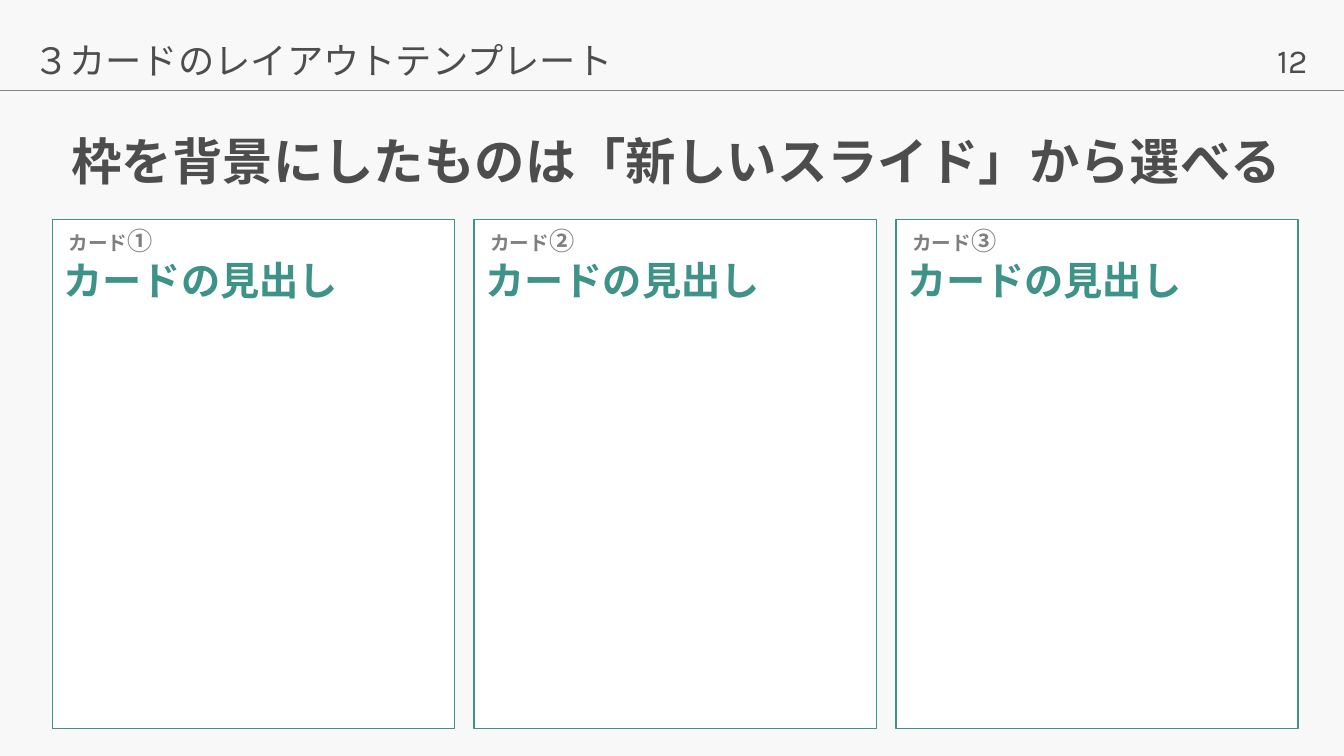
from lxml.etree import SubElement
from pptx import Presentation
from pptx.dml.color import RGBColor
from pptx.enum.shapes import MSO_CONNECTOR, MSO_SHAPE
from pptx.enum.text import MSO_ANCHOR, MSO_AUTO_SIZE, PP_ALIGN
from pptx.oxml.ns import qn
from pptx.util import Pt

COLORS = {"back": "F8F8F8", "text": "4D4D4D", "rule": "858585",
          "card": "FFFFFF", "accent": "3E9288", "label": "7F7F7F"}
JP = "Noto Sans CJK JP"
TITLE = {"size": 36, "bold": True, "color": "text", "name": JP}
HEADER = {"size": 25.9, "bold": False, "color": "text", "name": JP}
NUMBER = {"size": 24, "bold": False, "color": "text", "name": "Karla"}
LABEL = {"size": 14, "bold": True, "color": "label", "name": JP}
MARK = {**LABEL, "size": 18}
HEADING = {"size": 28, "bold": True, "color": "accent", "name": JP}
SLIDE_W, SLIDE_H = 960, 540
CARD_LEFT, CARD_TOP, CARD_W, CARD_H, CARD_PITCH = 37.4, 156.7, 287.3, 363.6, 301.3


def rgb(key):
    """Return the palette colour with the given key."""
    return RGBColor.from_string(COLORS[key])


def place(sp, box):
    """Move and size a shape to a box given in points."""
    for attr, value in zip(("left", "top", "width", "height"), box):
        setattr(sp, attr, Pt(value))


def write(tf, runs, wrap=True, anchor=MSO_ANCHOR.TOP, spacing=None):
    """Fill a text frame with one paragraph of formatted runs."""
    frame = {"word_wrap": wrap, "vertical_anchor": anchor,
             "auto_size": MSO_AUTO_SIZE.NONE if wrap else MSO_AUTO_SIZE.SHAPE_TO_FIT_TEXT}
    for attr, value in frame.items():
        setattr(tf, attr, value)
    p = tf.paragraphs[0]
    p.alignment = PP_ALIGN.LEFT
    p.line_spacing = spacing
    for text, style in runs:
        r = p.add_run()
        r.text = text
        values = {**style, "size": Pt(style["size"])}
        r.font.color.rgb = rgb(values.pop("color"))
        for attr, value in values.items():
            setattr(r.font, attr, value)
        SubElement(r.font._element, qn("a:ea"), typeface=style["name"])


def add_text(s, box, runs, **layout):
    """Add a text box with formatted runs."""
    sp = s.shapes.add_textbox(*map(Pt, box))
    write(sp.text_frame, runs, **layout)


def add_header(s, left, top, width, height):
    """Add the section name, page number and rule across the top."""
    add_text(s, (left + 16.6, top + 27.4, 902, 36.7),
             [("３カードのレイアウトテンプレート", HEADER)], spacing=0.9)
    add_text(s, (left + width - 54.9, top + 25.2, 43.9, 36),
             [("12", NUMBER)], wrap=False)
    bottom = top + height
    rule = s.shapes.add_connector(MSO_CONNECTOR.STRAIGHT, Pt(left), Pt(bottom),
                                  Pt(left + width), Pt(bottom))
    rule.line.color.rgb = rgb("rule")
    rule.line.width = Pt(1)
    SubElement(rule._element.spPr, qn("a:effectLst"))


def add_title(s, *box):
    """Place and fill the title placeholder."""
    title = s.shapes.title
    place(title, box)
    write(title.text_frame, [("枠を背景にしたものは「新しいスライド」から選べる", TITLE)],
          anchor=MSO_ANCHOR.MIDDLE, spacing=0.9)


def add_card(s, left, top, width, height, mark):
    """Add a framed card with its numbered label and heading."""
    sp = s.shapes.add_shape(MSO_SHAPE.RECTANGLE, *map(Pt, (left, top, width, height)))
    sp.shadow.inherit = False
    sp.fill.solid()
    sp.fill.fore_color.rgb = rgb("card")
    sp.line.color.rgb = rgb("accent")
    sp.line.width = Pt(1)
    add_text(s, (left + 4.5, top + 1, 74.9, 28.8),
             [("カード", LABEL), (mark, MARK)], wrap=False)
    add_text(s, (left + 1, top + 22.6, 212.4, 41),
             [("カードの見出し", HEADING)], wrap=False)


def main():
    """Build and save the three-card slide."""
    prs = Presentation()
    prs.slide_width, prs.slide_height = Pt(SLIDE_W), Pt(SLIDE_H)
    s = prs.slides.add_slide(prs.slide_layouts[5])
    s.background.fill.solid()
    s.background.fill.fore_color.rgb = rgb("back")
    add_header(s, 0, 0, SLIDE_W, 64.8)
    add_title(s, 43.9, 79.9, 894.2, 74.2)
    for i, mark in enumerate("①②③"):
        add_card(s, CARD_LEFT + i * CARD_PITCH, CARD_TOP, CARD_W, CARD_H, mark)
    prs.save("out.pptx")


if __name__ == "__main__":
    main()
